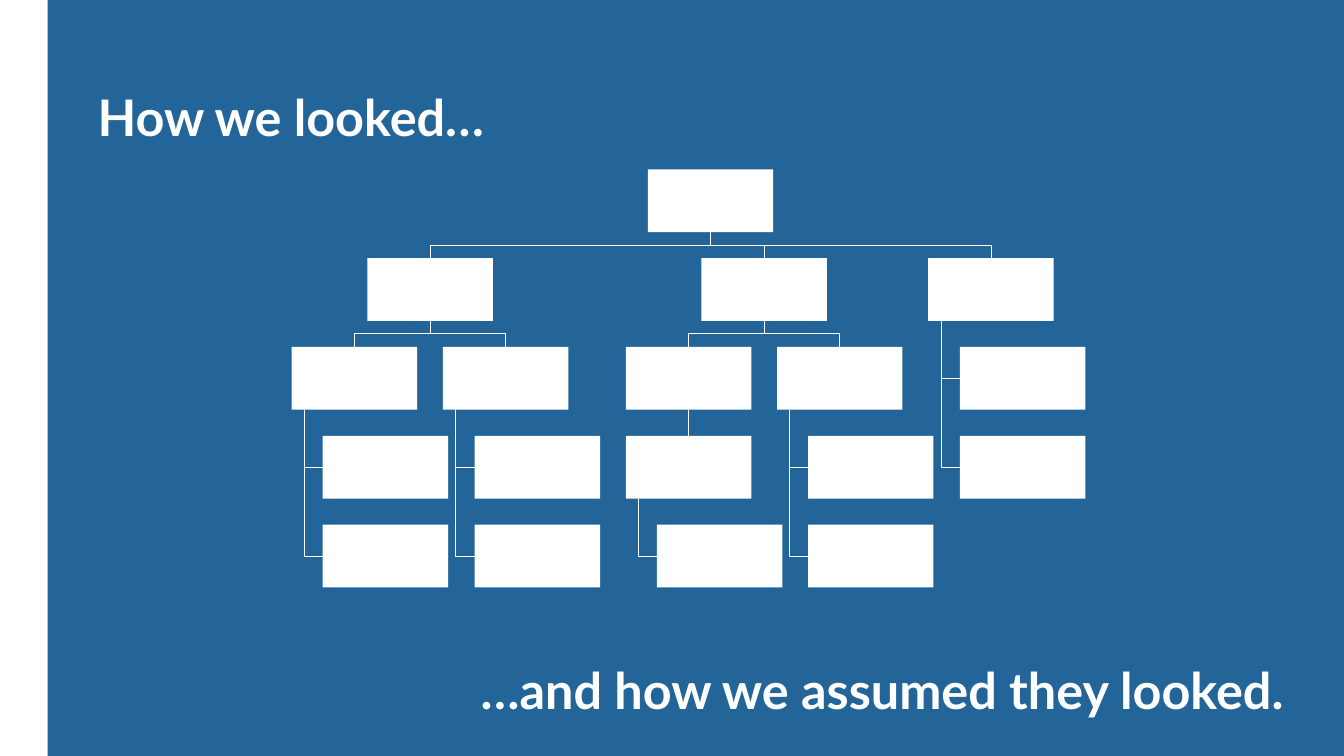
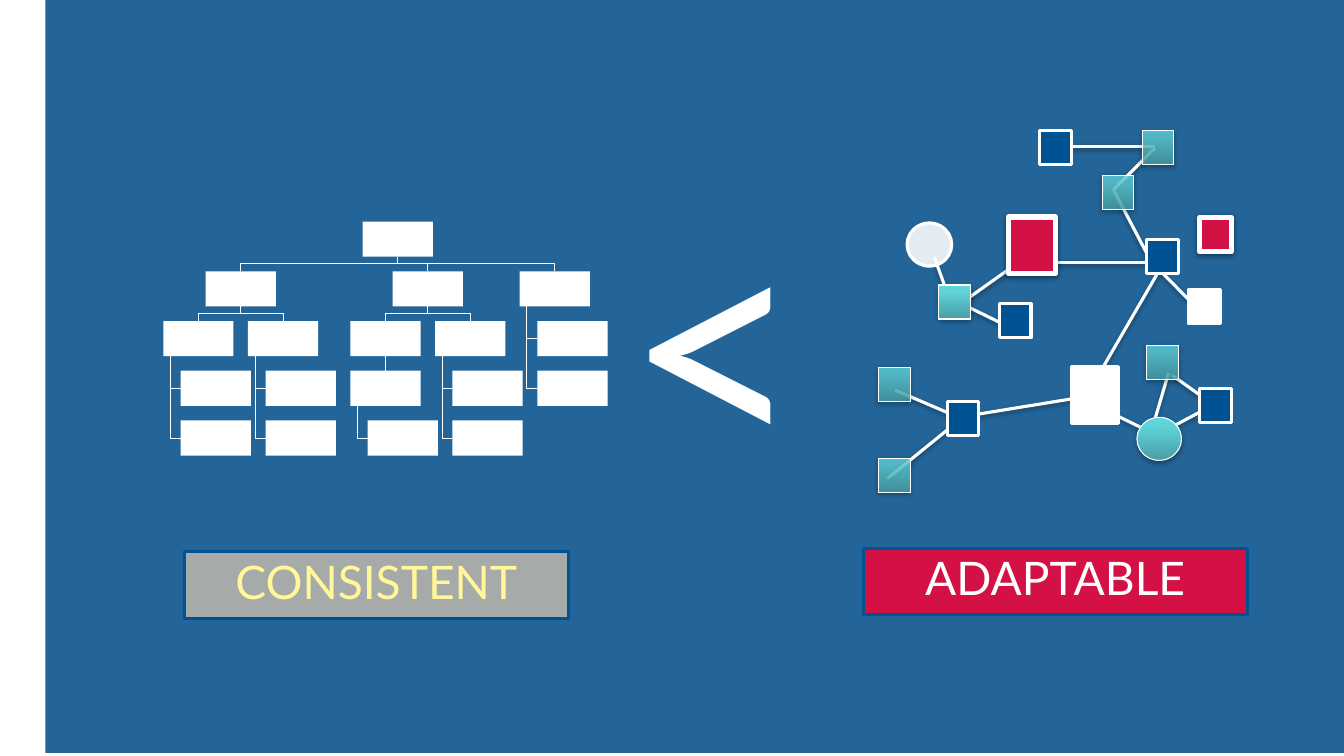
import pptx
import pptx.dml.color
import pptx.enum.shapes
import pptx.enum.text
import pptx.oxml
import pptx.oxml.ns
import pptx.util
from lxml import etree

# Shared look: 100 px to the inch
PX = 9144
SLIDE_SIZE = (1778, 1000)
BAND_SIZE = (1718, 1000)
FONT = "Lato"
WHITE, BLUE, NAVY, RED = "FFFFFF", "236599", "005392", "D31145"
GRAY, YELLOW = "A6AAA9", "FFF799"
TEAL_STOPS = [(0, "499FA5"), (80, "60D2D9"), (100, "5FD5DD")]
RECTANGLE = pptx.enum.shapes.MSO_SHAPE.RECTANGLE
OVAL = pptx.enum.shapes.MSO_SHAPE.OVAL
LEFT, CENTER = pptx.enum.text.PP_ALIGN.LEFT, pptx.enum.text.PP_ALIGN.CENTER
TOP, MIDDLE = pptx.enum.text.MSO_ANCHOR.TOP, pptx.enum.text.MSO_ANCHOR.MIDDLE

# Slide 1 statements: text and place
LOOKED = ("How we looked…", (122, 70, 1420, 163))
ASSUMED = ("…and how we assumed they looked.", (629, 829, 1420, 163))

# Organisation chart: name -> (parent, left, row, how it hangs from its parent)
ORG_BOX = (166, 83)
ORG_LAST_ROW_TOP = 470
ORG_ROWS = 5
ORG_STEM = 17
ORG_NODES = {
    "head": (None, 471, 0, None),
    "west": ("head", 100, 1, "below"),
    "west 1": ("west", 0, 2, "below"),
    "west 1a": ("west 1", 41, 3, "beside"),
    "west 1b": ("west 1", 41, 4, "beside"),
    "west 2": ("west", 200, 2, "below"),
    "west 2a": ("west 2", 242, 3, "beside"),
    "west 2b": ("west 2", 242, 4, "beside"),
    "middle": ("head", 542, 1, "below"),
    "middle 1": ("middle", 442, 2, "below"),
    "middle 1a": ("middle 1", 442, 3, "below"),
    "middle 1b": ("middle 1a", 483, 4, "beside"),
    "middle 2": ("middle", 642, 2, "below"),
    "middle 2a": ("middle 2", 683, 3, "beside"),
    "middle 2b": ("middle 2", 683, 4, "beside"),
    "east": ("head", 842, 1, "below"),
    "east 1": ("east", 884, 2, "beside"),
    "east 2": ("east", 884, 3, "beside"),
}

# Network: links as start and end points, nodes as style, left and top
LINKS = [
    (1528, 356, 1473, 251), (1258, 401, 1236, 340), (1336, 433, 1256, 394),
    (1363, 336, 1266, 405), (1275, 555, 1184, 516), (1275, 551, 1174, 633),
    (1256, 554, 1446, 523), (1527, 574, 1445, 534), (1531, 575, 1610, 533),
    (1373, 347, 1523, 347), (1444, 512, 1534, 357), (1580, 404, 1525, 348),
    (1605, 535, 1550, 496), (1521, 578, 1546, 493), (1528, 194, 1401, 194),
    (1528, 196, 1473, 251),
]
SMALL, LARGE, ROUND = (42, 45), (62, 75), (59, 57)
# style -> (preset, size, fill, opacity, line width, shadow opacity)
NODE_STYLES = {
    "red": (RECTANGLE, SMALL, RED, 100, 5, 38),
    "large red": (RECTANGLE, LARGE, RED, 100, 5, 38),
    "navy": (RECTANGLE, SMALL, NAVY, 100, 3, 0),
    "white": (RECTANGLE, SMALL, WHITE, 100, 3, 0),
    "large white": (RECTANGLE, LARGE, WHITE, 100, 3, 0),
    "teal": (RECTANGLE, SMALL, TEAL_STOPS, 100, 1, 35),
    "clear teal": (RECTANGLE, SMALL, TEAL_STOPS, 80, 1, 35),
    "teal circle": (OVAL, ROUND, TEAL_STOPS, 100, 1, 35),
    "white circle": (OVAL, ROUND, WHITE, 88, 3, 0),
}
NETWORK_NODES = [
    ("red", 1587, 288), ("teal", 1242, 377), ("navy", 1322, 402),
    ("navy", 1253, 531), ("clear teal", 1162, 486), ("clear teal", 1162, 606),
    ("large red", 1334, 287), ("clear teal", 1517, 457), ("navy", 1587, 514),
    ("large white", 1417, 485), ("white circle", 1200, 295),
    ("teal circle", 1504, 552), ("white", 1573, 383), ("navy", 1517, 317),
    ("clear teal", 1511, 173), ("navy", 1375, 173), ("clear teal", 1458, 232),
]

# Slide 2 labels: text, place, fill, text colour
LABELS = [
    ("ADAPTABLE", (1142, 725, 508, 88), RED, WHITE),
    ("CONSISTENT", (244, 730, 508, 88), GRAY, YELLOW),
]


def px(length):
    return pptx.util.Emu(round(length * PX))


def color(hex_text):
    return pptx.dml.color.RGBColor.from_string(hex_text)


def add_child(parent, tag, **attributes):
    child = etree.SubElement(parent, pptx.oxml.ns.qn(tag))
    for name, value in attributes.items():
        child.set(name, str(value))
    return child


def set_line(shape, hex_text, width):
    shape.line.color.rgb = color(hex_text)
    shape.line.width = pptx.util.Pt(width)


def set_opacity(shape, opacity):
    fill = shape.element.spPr.find(pptx.oxml.ns.qn("a:solidFill"))
    add_child(fill[0], "a:alpha", val=opacity * 1000)


def set_teal_gradient(shape, opacity):
    shape.fill.gradient()
    shape.fill.gradient_angle = 90
    stops = shape.element.spPr.find(".//" + pptx.oxml.ns.qn("a:gsLst"))
    stops.clear()
    for position, hex_text in TEAL_STOPS:
        stop = add_child(stops, "a:gs", pos=position * 1000)
        stop_color = add_child(stop, "a:srgbClr", val=hex_text)
        if opacity < 100:
            add_child(stop_color, "a:alpha", val=opacity * 1000)


def set_shadow(shape, opacity):
    """Soft shadow straight below; opacity 0 gives none."""
    properties = shape.element.spPr
    effects = properties.find(pptx.oxml.ns.qn("a:effectLst"))
    if effects is None:
        effects = add_child(properties, "a:effectLst")
    if opacity:
        shadow = add_child(effects, "a:outerShdw", blurRad=pptx.util.Pt(5),
                           dist=pptx.util.Pt(2), dir=90 * 60000, rotWithShape=0)
        add_child(add_child(shadow, "a:srgbClr", val="000000"),
                  "a:alpha", val=opacity * 1000)


def add_box(shapes, place, fill, preset=RECTANGLE):
    shape = shapes.add_shape(preset, *map(px, place))
    shape.shadow.inherit = False
    if isinstance(fill, str):
        shape.fill.solid()
        shape.fill.fore_color.rgb = color(fill)
    shape.line.fill.background()
    return shape


def add_straight(shapes, points, width, shadow=0):
    line = shapes.add_connector(pptx.enum.shapes.MSO_CONNECTOR.STRAIGHT, *map(px, points))
    set_line(line, WHITE, width)
    set_shadow(line, shadow)


def set_text(shape, text, size, text_color, inset, align=LEFT, anchor=MIDDLE,
             line_spacing=1.0, bold=False, wrap=True):
    frame = shape.text_frame
    frame.text = text
    frame.word_wrap = wrap
    frame.auto_size = pptx.enum.text.MSO_AUTO_SIZE.NONE
    frame.vertical_anchor = anchor
    frame.margin_left = frame.margin_right = px(inset)
    frame.margin_top = frame.margin_bottom = px(inset)
    paragraph = frame.paragraphs[0]
    paragraph.alignment = align
    paragraph.line_spacing = line_spacing
    font = paragraph.runs[0].font
    font.name, font.size, font.bold = FONT, pptx.util.Pt(size), bold
    font.color.rgb = color(text_color)


def add_band(slide, left, top):
    """Blue field behind everything else on the slide."""
    band = add_box(slide.shapes, (left, top, *BAND_SIZE), BLUE)
    slide.shapes.element.insert(2, band.element)


def add_statement(shape, text, place):
    shape.left, shape.top, shape.width, shape.height = map(px, place)
    set_text(shape, text, 48, WHITE, 7, line_spacing=1.05, bold=True)


def add_org_chart(slide, left, top, scale):
    shapes = slide.shapes.add_group_shape().shapes
    width, height = (side * scale for side in ORG_BOX)
    row_pitch = ORG_LAST_ROW_TOP / (ORG_ROWS - 1)
    corners = {name: (left + x * scale, top + row * row_pitch * scale)
               for name, (_, x, row, _) in ORG_NODES.items()}

    # Elbows from each parent to its child
    for name, (parent, _, _, hang) in ORG_NODES.items():
        if parent is None:
            continue
        x, y = corners[name]
        parent_x, parent_y = corners[parent]
        bottom = parent_y + height
        if hang == "beside":
            stem = parent_x + ORG_STEM * scale
            points = [(stem, bottom), (stem, y + height / 2), (x, y + height / 2)]
        else:
            start, end, bend = parent_x + width / 2, x + width / 2, (bottom + y) / 2
            points = [(start, bottom), (start, bend), (end, bend), (end, y)]
        if points[0][0] == points[-1][0]:
            add_straight(shapes, points[0] + points[-1], 0.85)
            continue
        points = [(px(a), px(b)) for a, b in points]
        builder = shapes.build_freeform(*points[0])
        builder.add_line_segments(points[1:], close=False)
        elbow = builder.convert_to_shape()
        elbow.shadow.inherit = False
        elbow.fill.background()
        set_line(elbow, WHITE, 0.85)

    for x, y in corners.values():
        add_box(shapes, (x, y, width, height), WHITE)


def add_network(slide):
    shapes = slide.shapes.add_group_shape().shapes
    for link in LINKS:
        add_straight(shapes, link, 3, shadow=38)
    for style, left, top in NETWORK_NODES:
        preset, size, fill, opacity, line_width, shadow = NODE_STYLES[style]
        node = add_box(shapes, (left, top, *size), fill, preset)
        if fill is TEAL_STOPS:
            set_teal_gradient(node, opacity)
        elif opacity < 100:
            set_opacity(node, opacity)
        set_line(node, WHITE, line_width)
        set_shadow(node, shadow)


def build_looks_slide(presentation):
    slide = presentation.slides.add_slide(presentation.slide_layouts[5])
    add_band(slide, 63, 0)
    add_org_chart(slide, 386, 224, 1)
    add_statement(slide.shapes.title, *LOOKED)
    text, place = ASSUMED
    add_statement(slide.shapes.add_textbox(*map(px, place)), text, place)


def build_comparison_slide(presentation):
    slide = presentation.slides.add_slide(presentation.slide_layouts[6])
    add_band(slide, 60, -4)
    add_network(slide)

    # Less-than sign between the two charts
    sign = slide.shapes.add_textbox(*map(px, (805, 194, 282, 507)))
    set_text(sign, "<", 298, WHITE, 3, align=CENTER, anchor=TOP, wrap=False)
    for properties in sign.element.iter(pptx.oxml.ns.qn("a:rPr")):
        properties.set("spc", "2480")

    add_org_chart(slide, 216, 293, 0.56)
    for text, place, fill, text_color in LABELS:
        label = add_box(slide.shapes, place, fill)
        set_line(label, NAVY, 3)
        set_text(label, text, 44, text_color, 4, align=CENTER, line_spacing=0.85)


def main():
    presentation = pptx.Presentation()
    presentation.slide_width, presentation.slide_height = map(px, SLIDE_SIZE)
    build_looks_slide(presentation)
    build_comparison_slide(presentation)
    presentation.save("out.pptx")


if __name__ == "__main__":
    main()
